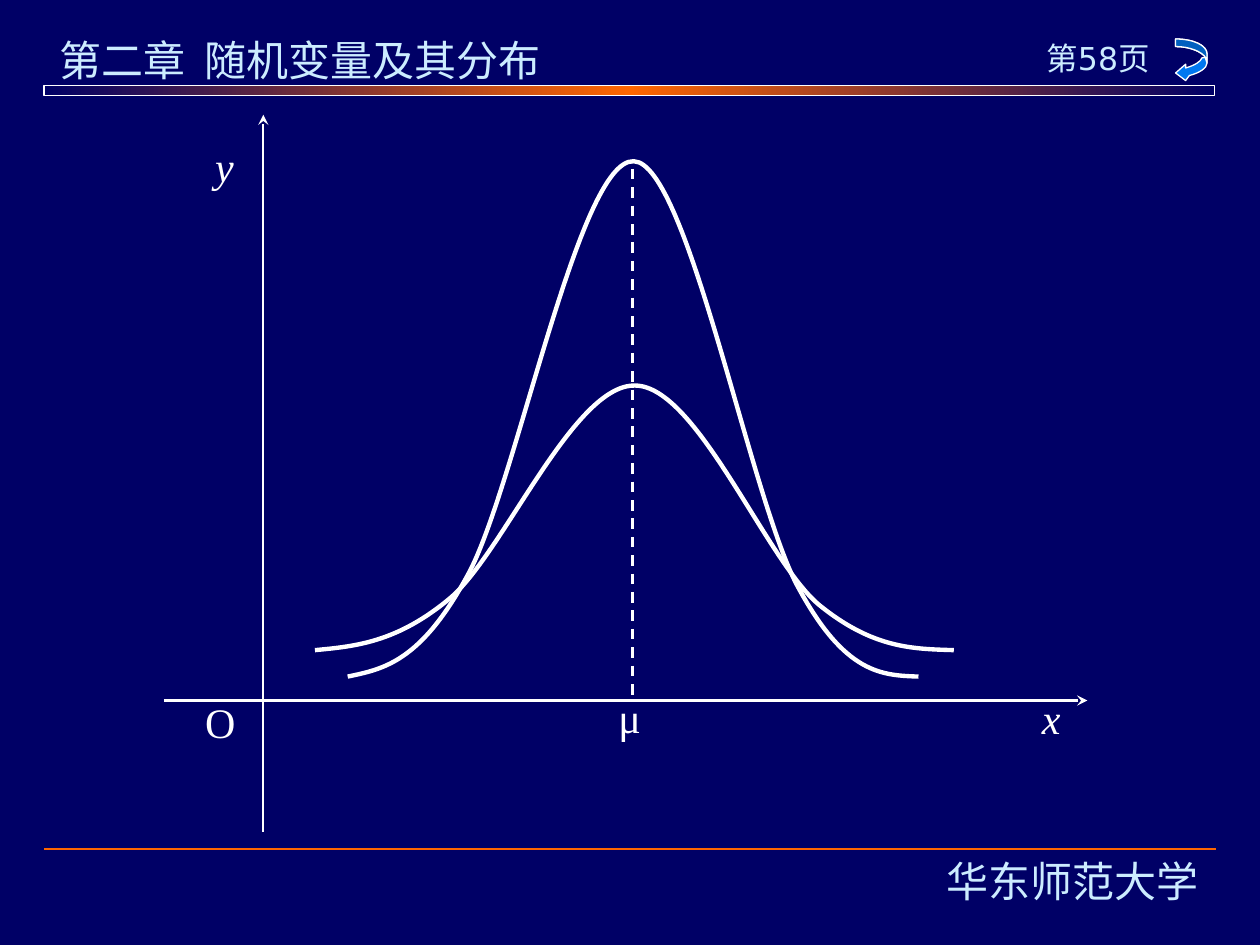
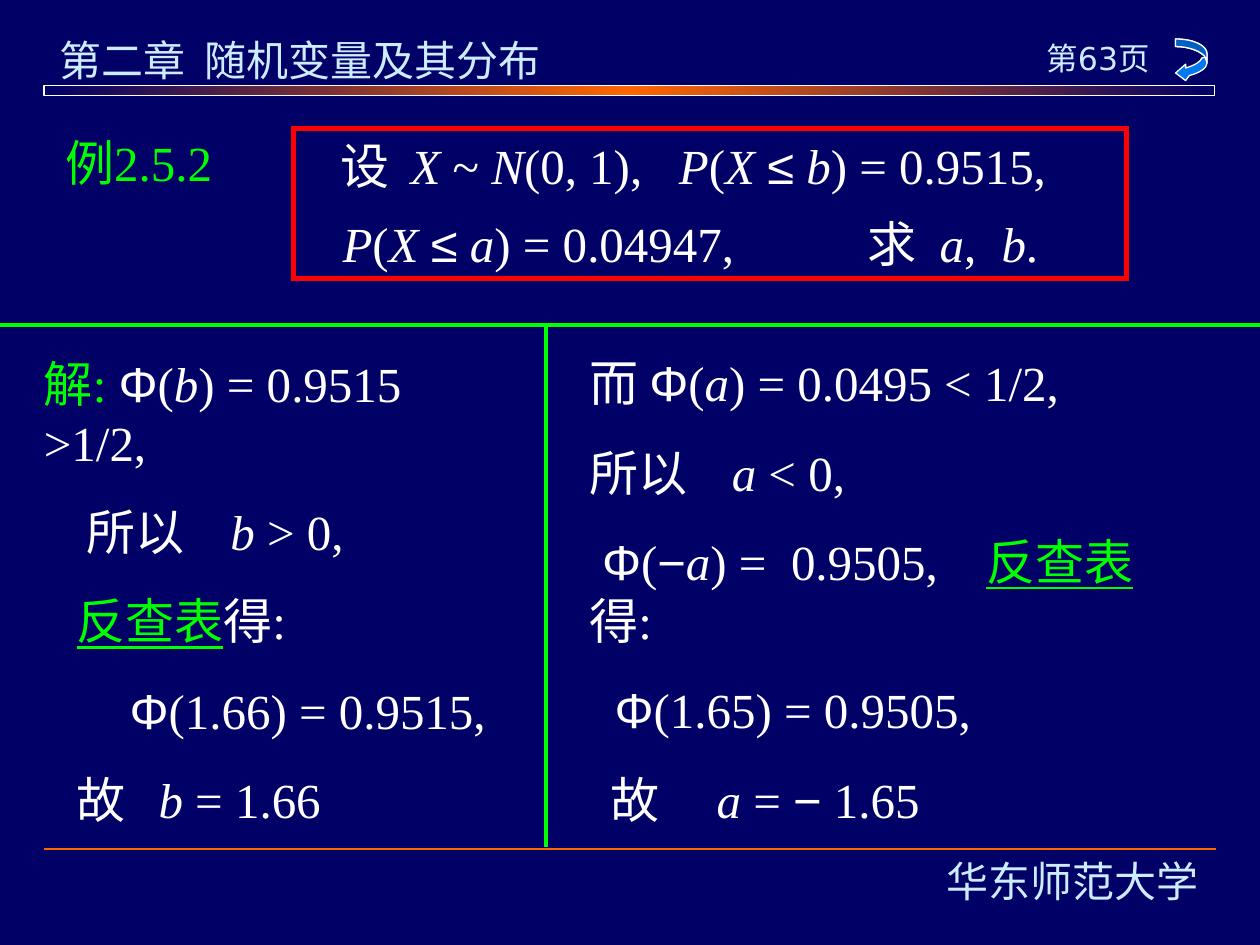
from copy import deepcopy
from itertools import groupby

from lxml.etree import SubElement
from pptx import Presentation
from pptx.dml.color import RGBColor
from pptx.enum.dml import MSO_LINE
from pptx.enum.shapes import MSO_CONNECTOR, MSO_SHAPE
from pptx.enum.text import MSO_ANCHOR, MSO_AUTO_SIZE, PP_ALIGN
from pptx.oxml.ns import qn
from pptx.util import Inches, Pt

rgb = RGBColor.from_string
NAVY, ORANGE, WHITE, PALE = "000066", "FF6600", "FFFFFF", "CCECFF"
GREEN, RED, BLUE = "00FF00", "FF0000", "0078F0"
SERIF = "Times New Roman"
UNDERLINED = {"例2.5.2": False, "解:": False, "反查表": True}


def write(sp, lines, size, font=SERIF, color=WHITE, align=PP_ALIGN.LEFT,
          anchor=MSO_ANCHOR.TOP, gap=17.5, spacing=None):
    tf = sp.text_frame
    for name, value in dict(word_wrap=True, auto_size=MSO_AUTO_SIZE.NONE,
                            vertical_anchor=anchor).items():
        setattr(tf, name, value)
    for i, (stops, *chunks) in enumerate(lines):
        p = tf.add_paragraph() if i else tf.paragraphs[0]
        p.alignment = align
        p.space_before = Pt(gap if i else 0)
        if i and spacing:
            p.line_spacing = spacing
        if stops:
            tabs = SubElement(p._p.get_or_add_pPr(), qn("a:tabLst"))
            for stop in stops:
                SubElement(tabs, qn("a:tab"), pos=str(Inches(stop)), algn="l")
        for chunk in chunks:
            green = chunk in UNDERLINED
            for kind, chars in groupby(chunk, lambda ch: "symbol" if ch in "Φ≤−" else
                                       "variable" if ch in "XNPabxy" else "plain"):
                r = p.add_run()
                r.text = "".join(chars)
                r.font.color.rgb = rgb(GREEN if green else color)
                look = dict(size=Pt(size), name="Arial" if kind == "symbol" else font,
                            bold=False, italic=kind == "variable",
                            underline=UNDERLINED.get(chunk, False))
                for name, value in look.items():
                    setattr(r.font, name, value)


def add_line(s, x1, y1, x2, y2, color, width, dash=None, arrow=False):
    c = s.shapes.add_connector(MSO_CONNECTOR.STRAIGHT, *map(Inches, (x1, y1, x2, y2)))
    c.line.color.rgb = rgb(color)
    c.line.width = Pt(width)
    if dash:
        c.line.dash_style = dash
    if arrow:
        SubElement(c.line._get_or_add_ln(), qn("a:tailEnd"), type="stealth")
    SubElement(c._element.spPr, qn("a:effectLst"))


arrow_top = [(9.33, 0.31), (9.47, 0.31, 9.58, 0.36, 9.58, 0.43), (9.58, 0.5)]
arrow_inner = [(9.57, 0.46), (9.54, 0.41, 9.44, 0.37, 9.33, 0.37)]
arrow_head = [(9.58, 0.54, 9.52, 0.58, 9.44, 0.6), (9.41, 0.64), (9.33, 0.58),
              (9.41, 0.51), (9.41, 0.54), (9.48, 0.52, 9.53, 0.49, 9.54, 0.46)]
arrow_ribbon = arrow_top + [(9.58, 0.49, 9.57, 0.48, 9.57, 0.47)] + arrow_inner
return_arrow = [arrow_top + arrow_head + arrow_inner, arrow_ribbon]
tall_bell = [(2.76, 5.37), (3.05, 5.31, 3.34, 5.25, 3.71, 4.57),
             (4.09, 3.89, 4.59, 1.26, 5.03, 1.28), (5.46, 1.29, 5.96, 3.99, 6.34, 4.67),
             (6.71, 5.35, 7, 5.36, 7.29, 5.37)]
low_bell = [(2.5, 5.16), (2.82, 5.13, 3.15, 5.1, 3.57, 4.75),
            (3.99, 4.4, 4.55, 3.05, 5.04, 3.06), (5.53, 3.06, 6.08, 4.45, 6.5, 4.8),
            (6.93, 5.15, 7.25, 5.15, 7.57, 5.16)]

problem = [
    ([0.27, 0.83, 2.96], "\t设\tX ~ N(0, 1),\tP(X ≤ b) = 0.9515,"),
    ([0.29, 4.46, 5.03, 5.52], "\tP(X ≤ a) = 0.04947,\t求\ta,\tb."),
]
solve_b = [
    ([], "解:", " Φ(b) = 0.9515 >1/2,"),
    ([0.34, 1.48], "\t所以\tb > 0,"),
    ([0.26], "\t", "反查表", "得:"),
    ([0.68], "\tΦ(1.66) = 0.9515,"),
    ([0.26, 0.91], "\t故\tb = 1.66"),
]
solve_a = [
    ([], "而 Φ(a) = 0.0495 < 1/2,"),
    ([1.13], "所以\ta < 0,"),
    ([0.1, 1.6, 3.15], "\tΦ(−a) =\t0.9505,\t", "反查表", "得:"),
    ([0.2], "\tΦ(1.65) = 0.9505,"),
    ([0.17, 1.01], "\t故\ta = − 1.65"),
]
middle = dict(anchor=MSO_ANCHOR.MIDDLE)

pages = [
    dict(number=58,
         bells=[([tall_bell], None, 2.5), ([low_bell], None, 2.5)],
         lines=[((1.3, 5.56, 8.63, 5.56, WHITE, 1.25), dict(arrow=True)),
                ((2.09, 6.6, 2.09, 0.91, WHITE, 1.25), dict(arrow=True)),
                ((5.02, 1.34, 5.02, 5.53, WHITE, 1.5), dict(dash=MSO_LINE.DASH))],
         texts=[((x, y, width, 0.5), [([], label)], 24, {})
                for label, x, y, width in [("y", 1.61, 1.07, 0.65), ("x", 8.17, 5.45, 0.76),
                                           ("O", 1.53, 5.48, 0.65), ("μ", 4.81, 5.44, 0.65)]]),
    dict(number=63,
         bells=[],
         lines=[((0, 2.58, 10, 2.58, GREEN, 2.25), {}),
                ((4.33, 2.58, 4.33, 6.72, GREEN, 2.25), {})],
         texts=[((2.33, 1.02, 6.61, 1.19), problem, 28, dict(spacing=0.8, **middle)),
                ((0.25, 2.75, 3.92, 3.88), solve_b, 28, middle),
                ((4.58, 2.98, 4.83, 3.41), solve_a, 28, middle),
                ((0.42, 1, 1.58, 0.57), [([], "例2.5.2")], 28, {})]),
]

prs = Presentation()
prs.slide_width, prs.slide_height = Inches(10), Inches(7.5)
fill = prs.slide_master.background.fill
fill.solid()
fill.fore_color.rgb = rgb(NAVY)

for page in pages:
    s = prs.slides.add_slide(prs.slide_layouts[5])
    add_line(s, 0.35, 6.74, 9.65, 6.74, ORANGE, 1)

    title = s.shapes.title
    for name, value in dict(left=0.37, top=0.22, width=4.2, height=0.5).items():
        setattr(title, name, Inches(value))
    write(title, [([1.15], "第二章\t随机变量及其分布")], 24, "Comic Neue", PALE)

    band = s.shapes.add_shape(MSO_SHAPE.RECTANGLE, *map(Inches, (0.35, 0.68, 9.29, 0.08)))
    band.shadow.inherit = False
    band.fill.gradient()
    band.fill.gradient_angle = 0
    stops = band._element.xpath(".//a:gsLst")[0]
    stops.append(deepcopy(stops[0]))
    for stop, position, color in zip(band.fill.gradient_stops, (0, 0.5, 1),
                                     (NAVY, ORANGE, NAVY)):
        stop.position = position
        stop.color.rgb = rgb(color)
    band.line.color.rgb = rgb(WHITE)
    band.line.width = Pt(0.75)

    for box, text, size, font in [
            ((7.27, 6.74, 2.49, 0.9), "华东师范大学", 24, "Roboto"),
            ((8.1, 0.26, 1.23, 0.76), f"第{page['number']}页", 18, "DejaVu Sans")]:
        sp = s.shapes.add_textbox(*map(Inches, box))
        write(sp, [([], text)], size, font, PALE, PP_ALIGN.CENTER)

    for outlines, color, width in [(return_arrow, BLUE, 0.75)] + page["bells"]:
        builder = s.shapes.build_freeform(*map(Inches, outlines[0][0]))
        for i, (start, *segments) in enumerate(outlines):
            if i:
                builder.move_to(*map(Inches, start))
            points = [(Inches(x), Inches(y)) for segment in segments
                      for x, y in zip(segment[::2], segment[1::2])]
            builder.add_line_segments(points, close=color is not None)
        sp = builder.convert_to_shape()

        straight = sp._element.xpath(".//a:path")[0]
        nodes = iter(list(straight))
        for i, (start, *segments) in enumerate(outlines):
            curve = SubElement(straight.getparent(), qn("a:path"),
                               w=straight.get("w"), h=straight.get("h"))
            if i:
                curve.set("fill", "darkenLess")
            curve.append(next(nodes))
            for segment in segments:
                if len(segment) == 2:
                    curve.append(next(nodes))
                    continue
                bezier = SubElement(curve, qn("a:cubicBezTo"))
                for _ in range(3):
                    bezier.append(next(nodes)[0])
            if color:
                curve.append(next(nodes))
        straight.getparent().remove(straight)

        sp.shadow.inherit = False
        if color:
            sp.fill.solid()
            sp.fill.fore_color.rgb = rgb(color)
        else:
            sp.fill.background()
        sp.line.color.rgb = rgb(WHITE)
        sp.line.width = Pt(width)

    for args, options in page["lines"]:
        add_line(s, *args, **options)

    for box, lines, size, options in page["texts"]:
        box = map(Inches, box)
        if lines is problem:
            sp = s.shapes.add_shape(MSO_SHAPE.RECTANGLE, *box)
            sp.shadow.inherit = False
            sp.fill.background()
            sp.line.color.rgb = rgb(RED)
            sp.line.width = Pt(3)
            SubElement(sp.line._get_or_add_ln(), qn("a:miter"), lim="800000")
        else:
            sp = s.shapes.add_textbox(*box)
        write(sp, lines, size, **options)

prs.save("out.pptx")
